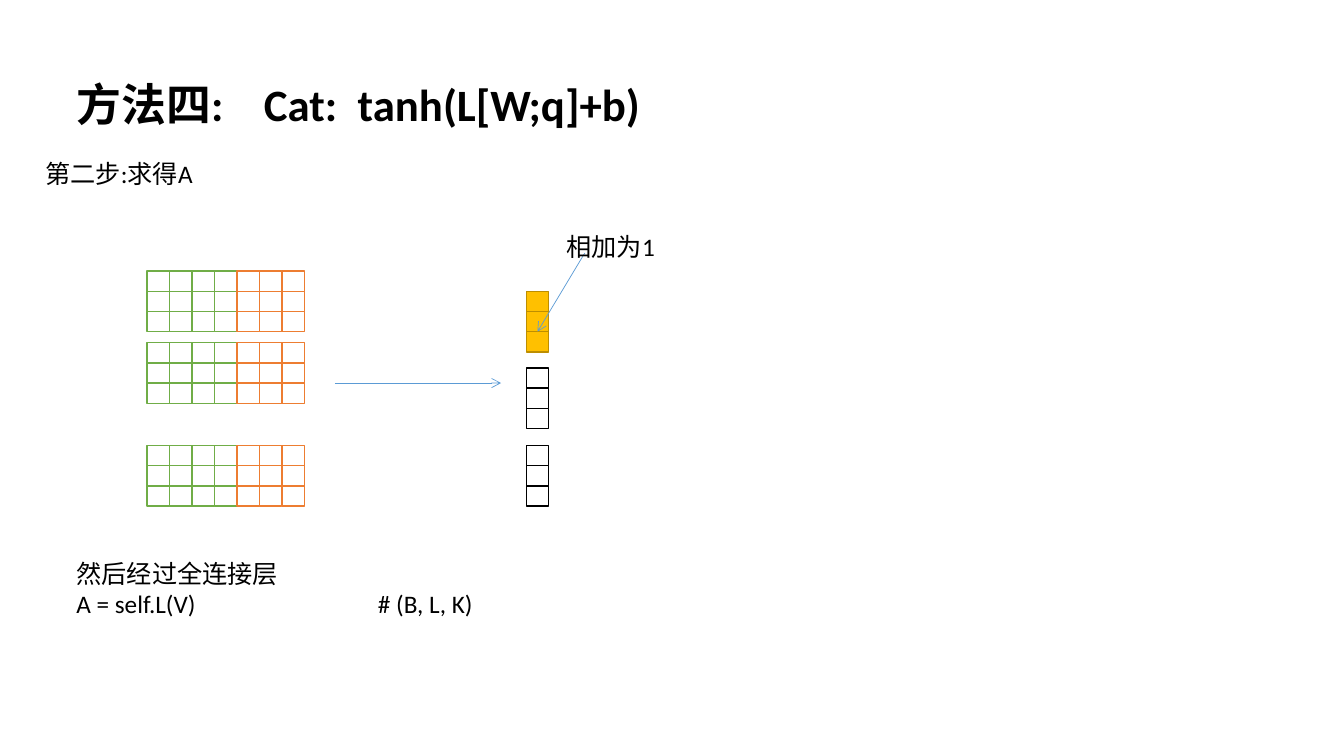
from lxml.etree import SubElement
from pptx import Presentation
from pptx.dml.color import RGBColor
from pptx.enum.shapes import MSO_CONNECTOR, MSO_SHAPE
from pptx.enum.text import MSO_AUTO_SIZE
from pptx.oxml.ns import qn
from pptx.util import Inches, Pt

SLIDE_W, SLIDE_H = Inches(13.33), Inches(7.5)
COLORS = {
    "white": "FFFFFF", "black": "000000", "green": "70AD47",
    "orange": "ED7D31", "gold": "FFC000", "dark_gold": "BD8E00",
    "blue": "5B9BD5",
}
FONT = "Calibri"

# Positions and sizes are percentages of the slide's width or height.
CELL_W, CELL_H = 1.67, 2.67
ROWS, W_COLS, Q_COLS = 3, 4, 3
INPUT_LEFT, OUTPUT_LEFT = 10.95, 39.16
INPUT_TOPS = (35.87, 45.33, 58.93)
OUTPUTS = (
    (38.53, "gold", "dark_gold"),
    (48.67, "white", "black"),
    (58.93, "white", "black"),
)


def x(share):
    return round(SLIDE_W * share / 100)


def y(share):
    return round(SLIDE_H * share / 100)


def rgb(name):
    return RGBColor.from_string(COLORS[name])


def add_cells(group, left, top, cols, fill, line):
    """Add a matrix of ROWS by cols cells and return its last cell."""
    for row in range(ROWS):
        for col in range(cols):
            sp = group.shapes.add_shape(
                MSO_SHAPE.RECTANGLE, x(left + col * CELL_W),
                y(top + row * CELL_H), x(CELL_W), y(CELL_H))
            sp.shadow.inherit = False
            sp.fill.solid()
            sp.fill.fore_color.rgb = rgb(fill)
            sp.line.color.rgb = rgb(line)
            sp.line.width = Pt(1)
    return sp


def add_arrow(s, start, end):
    cxn = s.shapes.add_connector(
        MSO_CONNECTOR.STRAIGHT, x(start[0]), y(start[1]), x(end[0]), y(end[1]))
    cxn.line.color.rgb = rgb("blue")
    cxn.line.width = Pt(0.5)
    SubElement(cxn.line._get_or_add_ln(), qn("a:tailEnd"), type="arrow")
    SubElement(cxn._element.spPr, qn("a:effectLst"))
    return cxn


def add_text(s, left, top, width, height, lines, size=18, bold=False, tabs=()):
    """Add a text box; tabs are tab stops in inches."""
    tf = s.shapes.add_textbox(x(left), y(top), x(width), y(height)).text_frame
    tf.word_wrap = True
    tf.auto_size = MSO_AUTO_SIZE.SHAPE_TO_FIT_TEXT
    tf.text = "\n".join(lines)
    for p in tf.paragraphs:
        if tabs:
            tab_list = SubElement(p._p.get_or_add_pPr(), qn("a:tabLst"))
            for stop in tabs:
                SubElement(tab_list, qn("a:tab"), pos=str(Inches(stop)), algn="l")
        for r in p.runs:
            r.font.name = FONT
            r.font.size = Pt(size)
            r.font.bold = bold
            r.font.color.rgb = rgb("black")


def main():
    prs = Presentation()
    prs.slide_width, prs.slide_height = SLIDE_W, SLIDE_H
    s = prs.slides.add_slide(prs.slide_layouts[6])

    inputs = s.shapes.add_group_shape()
    q_left = INPUT_LEFT + W_COLS * CELL_W
    for left, cols, line in ((INPUT_LEFT, W_COLS, "green"),
                             (q_left, Q_COLS, "orange")):
        for top in INPUT_TOPS:
            add_cells(inputs, left, top, cols, "white", line)

    add_text(s, 4.95, 9.47, 44.26, 8.53, ["方法四:\tCat:\ttanh(L[W;q]+b)"],
             size=32, bold=True, tabs=(1.86, 2.79))
    add_text(s, 4.95, 73.2, 51.39, 17.47,
             ["然后经过全连接层", "A = self.L(V)\t# (B, L, K)"], tabs=(2.99,))
    add_arrow(s, (24.91, 50.67), (37.28, 50.67))

    last_cells = [
        add_cells(s.shapes.add_group_shape(), OUTPUT_LEFT, top, 1, fill, line)
        for top, fill, line in OUTPUTS
    ]
    sum_arrow = add_arrow(s, (43.51, 33.47), (39.98, 43.87))
    sum_arrow.end_connect(last_cells[0], 0)

    add_text(s, 41.41, 30, 11.03, 5.33, ["相加为1"])
    add_text(s, 2.63, 20.27, 36.98, 5.33, ["第二步:求得A"])
    prs.save("out.pptx")


if __name__ == "__main__":
    main()
